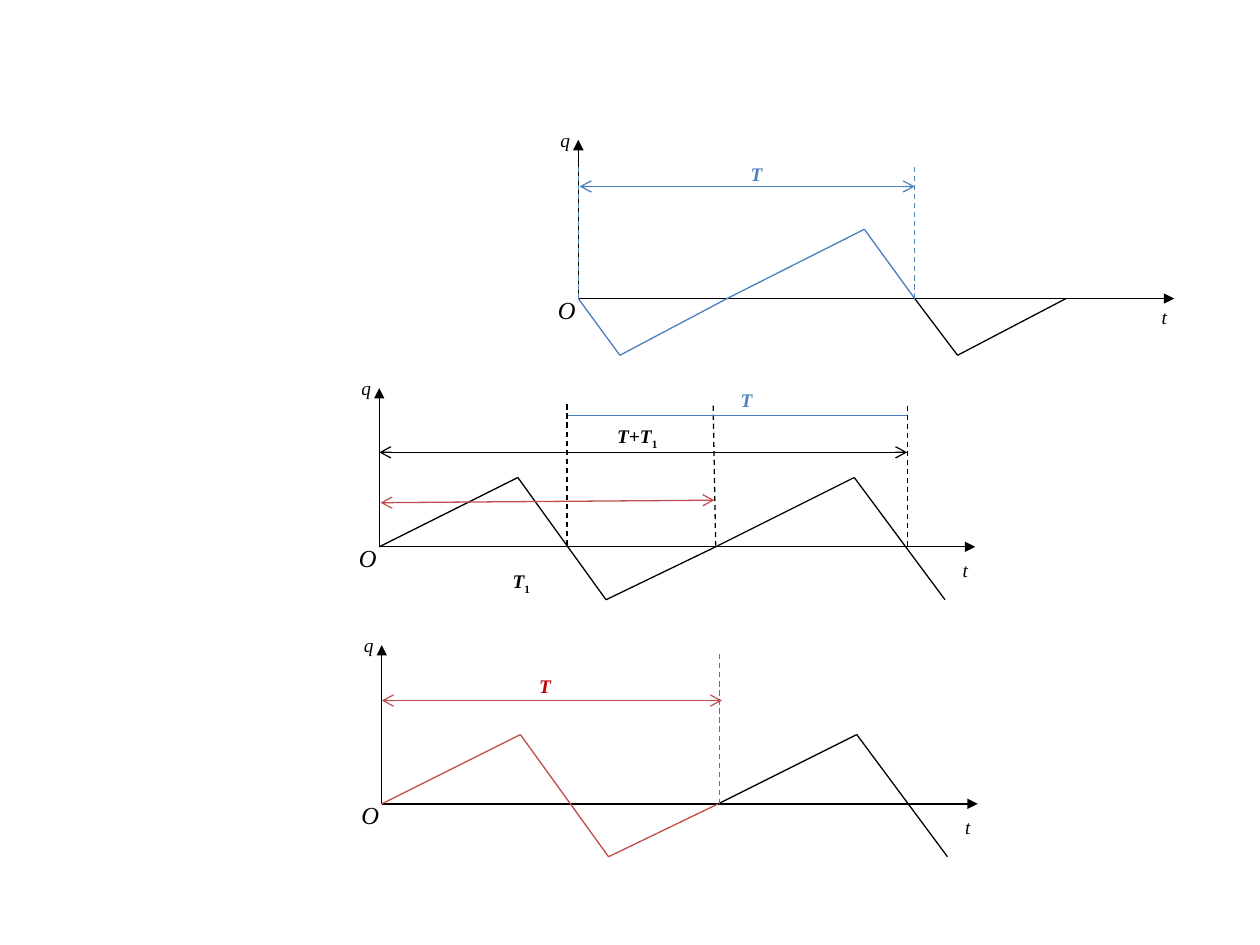
from itertools import pairwise
from lxml import etree
from pptx import Presentation
from pptx import util as u
from pptx.dml.color import RGBColor
from pptx.enum import dml, shapes, text
from pptx.oxml.ns import qn

INCH = 2.54
COLORS = {
    "black": "000000",
    "blue": "4F81BD",
    "wave blue": "4B7EBC",
    "red": "C0504D",
    "wave red": "BF4C48",
    "label red": "C00000",
}

deck = Presentation()
deck.slide_width = u.Cm(10 * INCH)
deck.slide_height = u.Cm(7.5 * INCH)
page = deck.slides.add_slide(deck.slide_layouts[6])


def add_line(start, end, color="black", dashed=False, head=None, tail=None):
    ends = [u.Cm(value * INCH) for value in (*start, *end)]
    line = page.shapes.add_connector(shapes.MSO_CONNECTOR.STRAIGHT, *ends)
    line.line.color.rgb = RGBColor.from_string(COLORS[color])
    line.line.width = u.Pt(0.75)
    if dashed:
        line.line.dash_style = dml.MSO_LINE.DASH
    outline = line.line._get_or_add_ln()
    for tag, kind in (("a:headEnd", head), ("a:tailEnd", tail)):
        if kind:
            etree.SubElement(outline, qn(tag)).set("type", kind)
    etree.SubElement(line._element.spPr, qn("a:effectLst"))


def add_label(words, left, top, width, height=0.29, size=11, color="black", bold=False, subscript=None):
    box = page.shapes.add_textbox(*[u.Cm(value * INCH) for value in (left, top, width, height)])
    frame = box.text_frame
    frame.word_wrap = True
    frame.auto_size = text.MSO_AUTO_SIZE.SHAPE_TO_FIT_TEXT
    frame.margin_left = u.Cm((0.1 if width > 0.2 else 0.06) * INCH)
    frame.margin_right = 0
    para = frame.paragraphs[0]
    para.font.name = "Times New Roman"
    para.font.size = u.Pt(size)
    para.font.bold = bold
    para.font.color.rgb = RGBColor.from_string(COLORS[color])
    span = para.add_run()
    span.text = words
    span.font.italic = True
    if subscript:
        span = para.add_run()
        span.text = subscript
        span.font.italic = False
        span.font._element.set("baseline", "-25000")


rising_wave = [(0, 0), (1.1, -0.55), (1.8, 0.42), (2.67, 0), (3.77, -0.55), (4.49, 0.42)]
falling_wave = [(0, 0), (0.33, 0.45), (1.18, 0), (2.27, -0.55), (2.67, 0), (3.01, 0.45), (3.87, 0)]
graphs = [
    (4.59, 2.37, falling_wave, 4, "wave blue", 0),
    (3.01, 4.34, rising_wave, 0, "black", 0.04),
    (3.03, 6.38, rising_wave, 3, "wave red", 0.04),
]
for x, y, wave, colored, color, drop in graphs:
    add_line((x, y), (x + 4.73, y), tail="triangle")
    add_line((x, y), (x, y - 1.26), tail="triangle")
    add_label("O", x - 0.26, y - 0.08, 0.24, 0.34, 14)
    add_label("q", x - 0.24, y - 1.4, 0.24)
    add_label("t", x + 4.57, y + drop, 0.16)
    for index, (start, end) in enumerate(pairwise(wave)):
        add_line(
            (x + start[0], y + start[1]),
            (x + end[0], y + end[1]),
            color if index < colored else "black",
        )

guides = [
    (4.59, 2.37, 4.59, 1.31, "blue"),
    (7.26, 2.37, 7.26, 1.31, "blue"),
    (4.5, 3.21, 4.5, 4.33, "black"),
    (5.66, 3.22, 5.68, 4.33, "black"),
    (7.2, 3.22, 7.2, 4.35, "black"),
    (5.71, 6.38, 5.71, 5.17, "red"),
]
for x1, y1, x2, y2, color in guides:
    add_line((x1, y1), (x2, y2), color, dashed=True)

spans = [
    (4.6, 1.48, 7.26, 1.48, "blue"),
    (3.01, 3.59, 7.2, 3.59, "black"),
    (3.02, 3.99, 5.67, 3.97, "red"),
    (3.03, 5.56, 5.73, 5.56, "red"),
]
for x1, y1, x2, y2, color in spans:
    add_line((x1, y1), (x2, y2), color, head="arrow", tail="arrow")
add_line((4.51, 3.3), (7.2, 3.3), "wave blue")

period_labels = [
    ("T", 5.86, 1.24, 0.34, 0.29, "blue", None),
    ("T", 5.78, 3.03, 0.34, 0.29, "blue", None),
    ("T", 4.18, 5.3, 0.7, 0.29, "label red", None),
    ("T", 3.97, 4.47, 0.47, 0.29, "black", "1"),
    ("T+T", 4.8, 3.32, 0.78, 0.47, "black", "1"),
]
for words, left, top, width, height, color, subscript in period_labels:
    add_label(words, left, top, width, height, color=color, bold=True, subscript=subscript)

deck.save("out.pptx")
